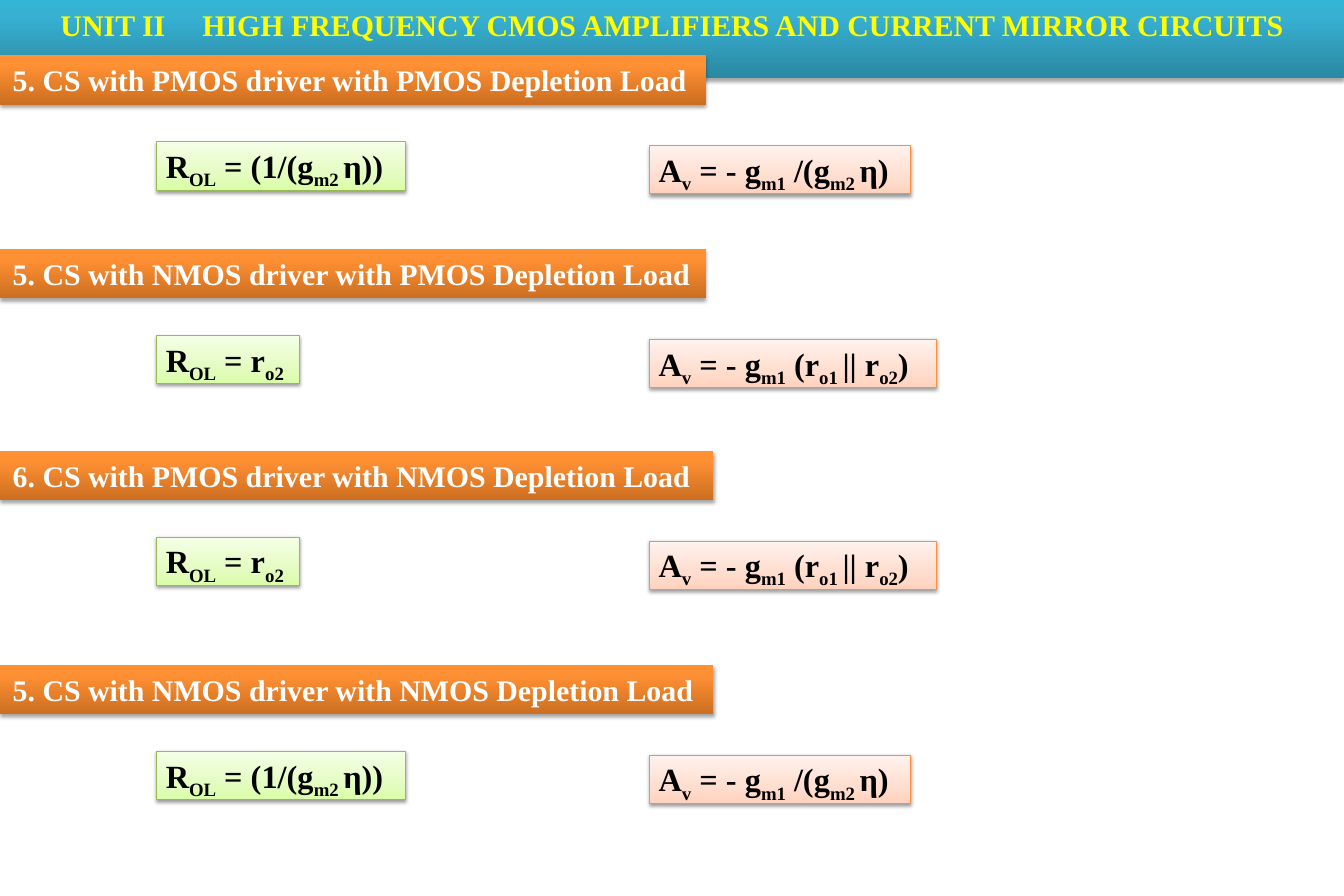
from pptx import Presentation
from pptx.dml.color import RGBColor
from pptx.enum.shapes import MSO_SHAPE
from pptx.enum.text import MSO_ANCHOR, MSO_AUTO_SIZE, PP_ALIGN
from pptx.oxml import parse_xml
from pptx.oxml.ns import nsdecls, qn
from pptx.util import Cm, Pt

RECT = MSO_SHAPE.RECTANGLE
TOP = MSO_ANCHOR.TOP
GROW = MSO_AUTO_SIZE.SHAPE_TO_FIT_TEXT
LEFT, CENTER = PP_ALIGN.LEFT, PP_ALIGN.CENTER

FONT = "Times New Roman"
BLACK = RGBColor(0x00, 0x00, 0x00)
WHITE = RGBColor(0xFF, 0xFF, 0xFF)
YELLOW = RGBColor(0xFF, 0xFF, 0x00)
GREEN_LINE = RGBColor(0x98, 0xB9, 0x55)
ORANGE_LINE = RGBColor(0xF6, 0x92, 0x40)

# Gradient stops from the bottom edge upwards: (percent, colour)
TEAL = [(0, RGBColor(0x2A, 0x88, 0xA2)), (80, RGBColor(0x37, 0xB1, 0xD2)),
        (100, RGBColor(0x34, 0xB4, 0xD6))]
ORANGE = [(0, RGBColor(0xCC, 0x6E, 0x20)), (80, RGBColor(0xFF, 0x90, 0x34)),
          (100, RGBColor(0xFF, 0x91, 0x36))]
GREEN = [(0, RGBColor(0xDA, 0xFD, 0xA7)), (35, RGBColor(0xE4, 0xFC, 0xC2)),
         (100, RGBColor(0xF5, 0xFF, 0xE7))]
PEACH = [(0, RGBColor(0xFF, 0xD2, 0xBD)), (35, RGBColor(0xFF, 0xDE, 0xD0)),
         (100, RGBColor(0xFF, 0xF2, 0xED))]

BAR_HEIGHT, FORMULA_HEIGHT = Cm(1.4), Cm(1.37)
INDENT = Cm(1.42)

# Subscripts stand between tildes; each formula has its box width
R_DIODE = ("R~OL~ = (1/(g~m2 ~η))", Cm(7.04))
R_OUTPUT = ("R~OL~ = r~o2~", Cm(4.04))
A_DIODE = ("A~v~ = - g~m1~ /(g~m2 ~η)", Cm(7.39))
A_OUTPUT = ("A~v~ = - g~m1~ (r~o1 ~|| r~o2~)", Cm(8.13))

SECTIONS = [
    (Cm(1.57), Cm(20.02), "5. CS with PMOS driver with PMOS Depletion Load", R_DIODE, A_DIODE),
    (Cm(7.06), Cm(20.02), "5. CS with NMOS driver with PMOS Depletion Load", R_OUTPUT, A_OUTPUT),
    (Cm(12.78), Cm(20.22), "6. CS with PMOS driver with NMOS Depletion Load", R_OUTPUT, A_OUTPUT),
    (Cm(18.85), Cm(20.22), "5. CS with NMOS driver with NMOS Depletion Load", R_DIODE, A_DIODE),
]


def set_gradient(s, stops):
    s.fill.solid()
    spPr = s._element.spPr
    gs = "".join(f'<a:gs pos="{pos * 1000}"><a:srgbClr val="{color}"/></a:gs>'
                 for pos, color in stops)
    spPr.replace(spPr.find(qn("a:solidFill")), parse_xml(
        f'<a:gradFill {nsdecls("a")} rotWithShape="1"><a:gsLst>{gs}</a:gsLst>'
        '<a:lin ang="16200000" scaled="0"/></a:gradFill>'))


def set_shadow(s, distance, opacity):
    s.shadow.inherit = False
    s._element.spPr.find(qn("a:effectLst")).append(parse_xml(
        f'<a:outerShdw {nsdecls("a")} blurRad="{Pt(3.1)}" dist="{Pt(distance)}" '
        f'dir="5400000" rotWithShape="0"><a:srgbClr val="{BLACK}">'
        f'<a:alpha val="{opacity * 1000}"/></a:srgbClr></a:outerShdw>'))


def format_text(s, size, color, align, wrap):
    tf = s.text_frame
    tf.word_wrap = wrap
    tf.auto_size = GROW
    tf.vertical_anchor = TOP
    p = tf.paragraphs[0]
    p.alignment = align
    p.font.name, p.font.size, p.font.bold = FONT, Pt(size), True
    p.font.color.rgb = color


def format_bar(s, stops):
    """Give the title or a heading its gradient, shadow and margins."""
    set_gradient(s, stops)
    s.line.fill.background()
    set_shadow(s, 1.8, 35)
    tf = s.text_frame
    tf.margin_left = tf.margin_right = Cm(0.36)
    tf.margin_top = tf.margin_bottom = Cm(0.18)


def add_title(slide, width, text):
    s = slide.shapes.title
    s.left, s.top, s.width, s.height = 0, 0, width, BAR_HEIGHT
    s.text_frame.text = text
    format_bar(s, TEAL)
    format_text(s, 24, YELLOW, CENTER, True)


def add_heading(slide, top, width, text):
    s = slide.shapes.add_shape(RECT, 0, top, width, BAR_HEIGHT)
    s.text_frame.text = text
    format_bar(s, ORANGE)
    pPr = s.text_frame.paragraphs[0]._p.get_or_add_pPr()
    pPr.set("marL", str(INDENT))
    pPr.set("indent", str(-INDENT))
    format_text(s, 24, WHITE, LEFT, False)


def add_formula(slide, left, top, formula, stops, line):
    text, width = formula
    s = slide.shapes.add_shape(RECT, left, top, width, FORMULA_HEIGHT)
    set_gradient(s, stops)
    s.line.color.rgb = line
    s.line.width = Pt(0.75)
    set_shadow(s, 1.6, 38)
    p = s.text_frame.paragraphs[0]
    for i, part in enumerate(text.split("~")):
        if part:
            r = p.add_run()
            r.text = part
            if i % 2:
                r.font._element.set("baseline", "-25000")
    format_text(s, 26, BLACK, LEFT, False)


def main():
    prs = Presentation()
    prs.slide_width, prs.slide_height = Cm(38.1), Cm(25.4)
    slide = prs.slides.add_slide(prs.slide_layouts.get_by_name("Title Only"))
    add_title(slide, prs.slide_width,
              "UNIT II\t HIGH FREQUENCY CMOS AMPLIFIERS AND CURRENT MIRROR CIRCUITS")
    for top, width, heading, resistance, gain in SECTIONS:
        add_heading(slide, top, width, heading)
        add_formula(slide, Cm(4.45), top + Cm(2.45), resistance, GREEN, GREEN_LINE)
        add_formula(slide, Cm(18.42), top + Cm(2.56), gain, PEACH, ORANGE_LINE)
    prs.save("out.pptx")


if __name__ == "__main__":
    main()
